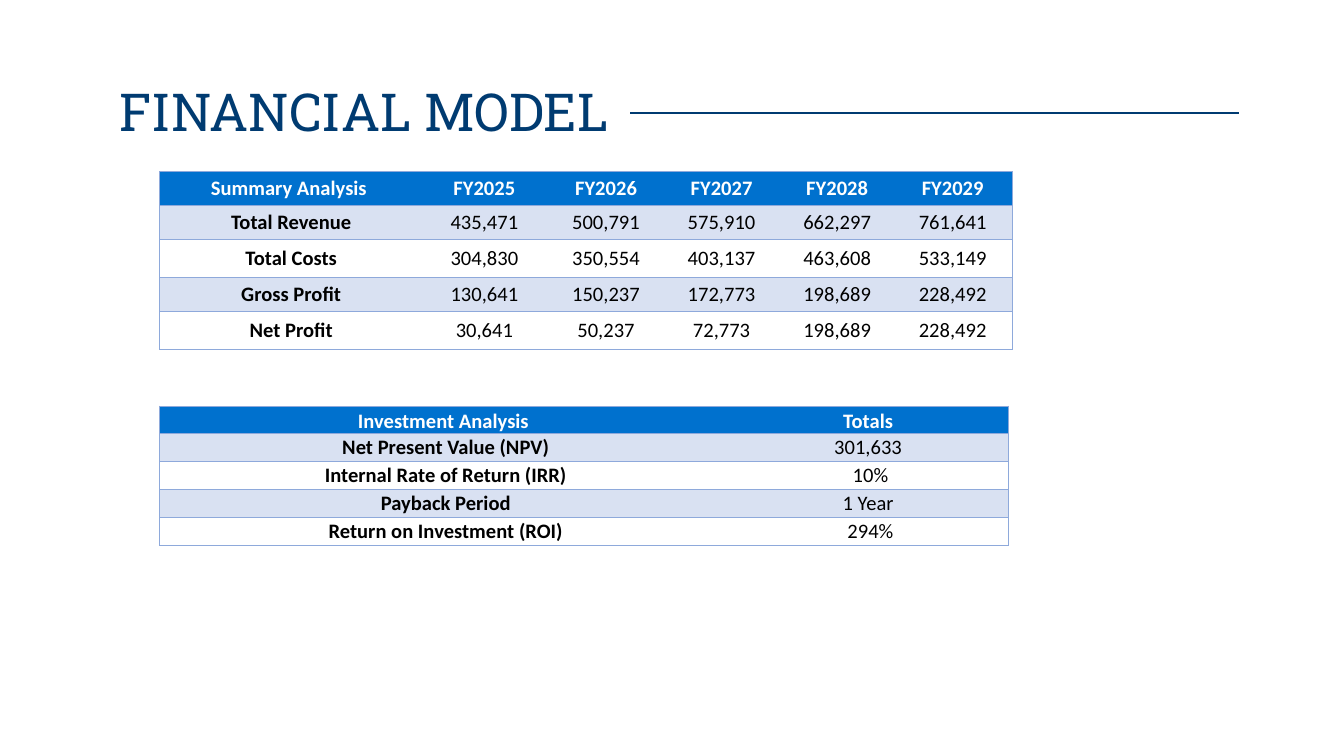
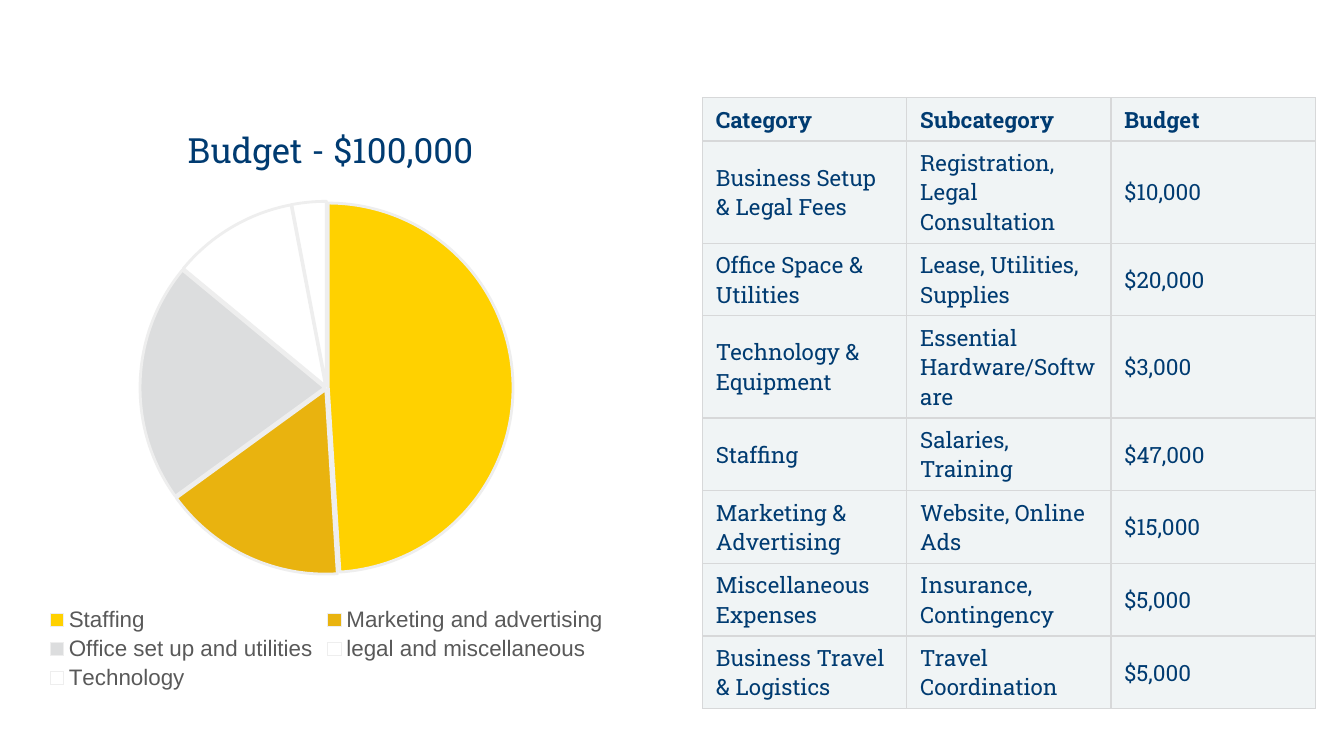
from lxml import etree
from pptx import Presentation
from pptx.chart.data import CategoryChartData
from pptx.dml.color import RGBColor
from pptx.enum.chart import XL_CHART_TYPE, XL_LEGEND_POSITION
from pptx.enum.shapes import MSO_CONNECTOR
from pptx.enum.text import MSO_ANCHOR, MSO_AUTO_SIZE, PP_ALIGN
from pptx.oxml import parse_xml
from pptx.oxml.ns import nsdecls, qn
from pptx.util import Inches, Pt

PIE = XL_CHART_TYPE.PIE
LEGEND_BOTTOM = XL_LEGEND_POSITION.BOTTOM
STRAIGHT = MSO_CONNECTOR.STRAIGHT
TOP, MIDDLE, BOTTOM = MSO_ANCHOR.TOP, MSO_ANCHOR.MIDDLE, MSO_ANCHOR.BOTTOM
NO_AUTOFIT = MSO_AUTO_SIZE.NONE
LEFT, CENTER = PP_ALIGN.LEFT, PP_ALIGN.CENTER

SLIDE_WIDTH = Inches(10)
SLIDE_HEIGHT = SLIDE_WIDTH * 9 // 16
TITLE_ONLY, BLANK = 5, 6
PLAIN_TABLE_STYLE = "{2D5ABB26-0587-4C30-8999-92F81FD0307C}"

NAVY = RGBColor(0x00, 0x3B, 0x71)
BLUE = RGBColor(0x00, 0x71, 0xCE)
BAND = RGBColor(0xD9, 0xE1, 0xF2)
RULE = RGBColor(0x8E, 0xA9, 0xDB)
WHITE = RGBColor(0xFF, 0xFF, 0xFF)
BLACK = RGBColor(0x00, 0x00, 0x00)
PALE = RGBColor(0xF0, 0xF4, 0xF5)
GRID = RGBColor(0xD7, 0xD8, 0xD9)
SLICE_EDGE = RGBColor(0xEE, 0xEE, 0xEE)
LEGEND_GRAY = RGBColor(0x59, 0x59, 0x59)
YELLOW = RGBColor(0xFF, 0xD1, 0x00)
GOLD = RGBColor(0xE9, 0xB3, 0x0F)
SILVER = RGBColor(0xDC, 0xDD, 0xDE)

SLAB, SANS, LABEL_FONT = "Roboto Slab", "Calibri", "Arial"

SUMMARY = [
    ("Summary Analysis ", "FY2025 ", "FY2026 ", "FY2027 ", "FY2028 ", "FY2029 "),
    ("Total Revenue", "435,471 ", "500,791 ", "575,910 ", "662,297 ", "761,641 "),
    ("Total Costs", "304,830 ", "350,554 ", "403,137 ", "463,608 ", "533,149 "),
    ("Gross Profit", "130,641 ", "150,237 ", "172,773 ", "198,689 ", "228,492 "),
    ("Net Profit", "30,641 ", "50,237 ", "72,773 ", "198,689 ", "228,492 "),
]
INVESTMENT = [
    ("Investment Analysis ", "Totals "),
    ("Net Present Value (NPV)", "301,633 "),
    ("Internal Rate of Return (IRR)", "10%"),
    ("Payback Period", "1 Year "),
    ("Return on Investment (ROI)", "294%"),
]
BUDGET = [
    ("Category", "Subcategory", "Budget"),
    ("Business Setup & Legal Fees", "Registration, Legal Consultation", "$10,000"),
    ("Office Space & Utilities", "Lease, Utilities, Supplies", "$20,000"),
    ("Technology & Equipment", "Essential Hardware/Software", "$3,000"),
    ("Staffing", "Salaries, Training", "$47,000"),
    ("Marketing & Advertising", "Website, Online Ads", "$15,000"),
    ("Miscellaneous Expenses", "Insurance, Contingency", "$5,000"),
    ("Business Travel & Logistics", "Travel Coordination", "$5,000"),
]
SPENDING = [
    ("Staffing", 49, YELLOW),
    ("Marketing and advertising", 16, GOLD),
    ("Office set up and utilities", 21, SILVER),
    ("legal and miscellaneous", 11, WHITE),
    ("Technology", 3, WHITE),
]


def across(percent):
    return round(SLIDE_WIDTH * percent / 100)


def down(percent):
    return round(SLIDE_HEIGHT * percent / 100)


def style_font(font, face, size, color, bold=False):
    font.name, font.size, font.bold = face, Pt(size), bold
    font.color.rgb = color


def add_title(slide, text):
    title = slide.shapes.title
    title.left, title.top = across(7.9), down(8.72)
    title.width, title.height = across(84.2), down(11.2)
    frame = title.text_frame
    frame.text = text
    frame.auto_size = NO_AUTOFIT
    frame.vertical_anchor = TOP
    frame.margin_left = frame.margin_right = Inches(0.1)
    frame.margin_top = frame.margin_bottom = Inches(0.1)
    paragraph = frame.paragraphs[0]
    paragraph.alignment = LEFT
    style_font(paragraph.runs[0].font, SLAB, 28, NAVY)


def add_title_rule(slide):
    height = down(14.93)
    rule = slide.shapes.add_connector(STRAIGHT, across(46.9), height, across(92.2), height)
    rule.line.color.rgb = NAVY
    rule.line.width = Pt(0.75)
    etree.SubElement(rule._element.spPr, qn("a:effectLst"))


def draw_borders(cell, edges, color, width):
    properties = cell._tc.get_or_add_tcPr()
    for edge in edges:
        properties.append(parse_xml(
            f'<a:ln{edge} {nsdecls("a")} w="{Pt(width)}">'
            f'<a:solidFill><a:srgbClr val="{color}"/></a:solidFill></a:ln{edge}>'
        ))


def fill_cell(cell, color):
    cell.fill.solid()
    cell.fill.fore_color.rgb = color


def add_grid(slide, rows, left, top, widths, heights, style_cell):
    frame = slide.shapes.add_table(
        len(rows), len(widths), left, top, sum(widths), sum(heights))
    table = frame.table
    table._tbl.tblPr.find(qn("a:tableStyleId")).text = PLAIN_TABLE_STYLE
    for column, width in zip(table.columns, widths):
        column.width = width
    for row, height in zip(table.rows, heights):
        row.height = height
    for r, texts in enumerate(rows):
        for c, text in enumerate(texts):
            cell = table.cell(r, c)
            cell.text_frame.text = text
            cell.vertical_anchor = MIDDLE
            style_cell(cell, r, c, len(texts) - 1)
    return table


def style_finance_cell(cell, row, column, last_column):
    cell.margin_left = cell.margin_right = cell.margin_top = cell.margin_bottom = 0
    edges = ["L"] if column == 0 else []
    edges += ["R"] if column == last_column else []
    draw_borders(cell, edges + ["T", "B"], RULE, 0.5)
    if row == 0:
        fill_cell(cell, BLUE)
    elif row % 2:
        fill_cell(cell, BAND)
    else:
        cell.fill.background()
    paragraph = cell.text_frame.paragraphs[0]
    paragraph.alignment = CENTER
    style_font(paragraph.runs[0].font, SANS, 11,
               BLACK if row else WHITE, row == 0 or column == 0)


def style_budget_cell(cell, row, column, last_column):
    draw_borders(cell, "LRTB", GRID, 0.75)
    fill_cell(cell, PALE)
    style_font(cell.text_frame.paragraphs[0].runs[0].font, SLAB, 12, NAVY, row == 0)


def manual_layout(target="", **shares):
    values = "".join(f'<c:{key} val="{share}"/>' for key, share in shares.items())
    return parse_xml(
        f'<c:layout {nsdecls("c")}><c:manualLayout>{target}'
        f'<c:xMode val="edge"/><c:yMode val="edge"/>{values}'
        f'</c:manualLayout></c:layout>'
    )


def remove_layout(element):
    for layout in element.findall(qn("c:layout")):
        element.remove(layout)


def place_heading(chart, **shares):
    heading = chart.chart_title._element
    remove_layout(heading)
    heading.find(qn("c:tx")).addnext(manual_layout(**shares))


def place_plot(chart, **shares):
    plot_area = chart._chartSpace.chart.plotArea
    remove_layout(plot_area)
    plot_area.insert(0, manual_layout('<c:layoutTarget val="inner"/>', **shares))


def add_budget_pie(slide):
    data = CategoryChartData()
    data.categories = [name for name, _, _ in SPENDING]
    data.add_series("Series 1", [share for _, share, _ in SPENDING])
    chart = slide.shapes.add_chart(
        PIE, across(-1.4), down(13), across(51.4), down(79), data).chart
    style_font(chart.font, LABEL_FONT, 10, BLACK)

    chart.has_title = True
    heading = chart.chart_title.text_frame
    heading.text = "Budget - $100,000"
    style_font(heading.paragraphs[0].runs[0].font, SLAB, 18.6, NAVY)
    place_heading(chart, x=0.29, y=0.03)

    chart.has_legend = True
    chart.legend.position = LEGEND_BOTTOM
    chart.legend.include_in_layout = False
    style_font(chart.legend.font, LABEL_FONT, 12, LEGEND_GRAY)

    pie = chart.plots[0]
    pie.vary_by_categories = True
    series = pie.series[0]
    for index, (_, _, color) in enumerate(SPENDING):
        slice_format = series.points[index].format
        slice_format.fill.solid()
        slice_format.fill.fore_color.rgb = color
        slice_format.line.color.rgb = SLICE_EDGE
        slice_format.line.width = Pt(1.5)
    explosion = parse_xml(f'<c:explosion {nsdecls("c")} val="1"/>')
    series._element.find(qn("c:dPt")).addprevious(explosion)
    place_plot(chart, x=0.23, y=0.17, w=0.54, h=0.63)


def build_financial_model(deck):
    slide = deck.slides.add_slide(deck.slide_layouts[TITLE_ONLY])
    add_title(slide, "FINANCIAL MODEL")
    add_title_rule(slide)
    left = across(11.87)
    add_grid(slide, SUMMARY, left, down(22.7),
             [across(19.6), across(9.5)] + [across(8.6)] * 4,
             [down(share) for share in (4.5, 4.5, 5, 4.5, 5)], style_finance_cell)
    investment = add_grid(slide, INVESTMENT, left, down(53.7),
                          [across(42.6), across(20.6)],
                          [down(3.7)] * len(INVESTMENT), style_finance_cell)
    for cell in investment.rows[0].cells:
        cell.vertical_anchor = BOTTOM


def build_budget(deck):
    slide = deck.slides.add_slide(deck.slide_layouts[BLANK])
    add_budget_pie(slide)
    add_grid(slide, BUDGET, across(52.27), down(12.95), [across(15.2)] * 3,
             [down(4.63)] * len(BUDGET), style_budget_cell)


def main():
    deck = Presentation()
    deck.slide_width, deck.slide_height = SLIDE_WIDTH, SLIDE_HEIGHT
    build_financial_model(deck)
    build_budget(deck)
    deck.save("out.pptx")


if __name__ == "__main__":
    main()
